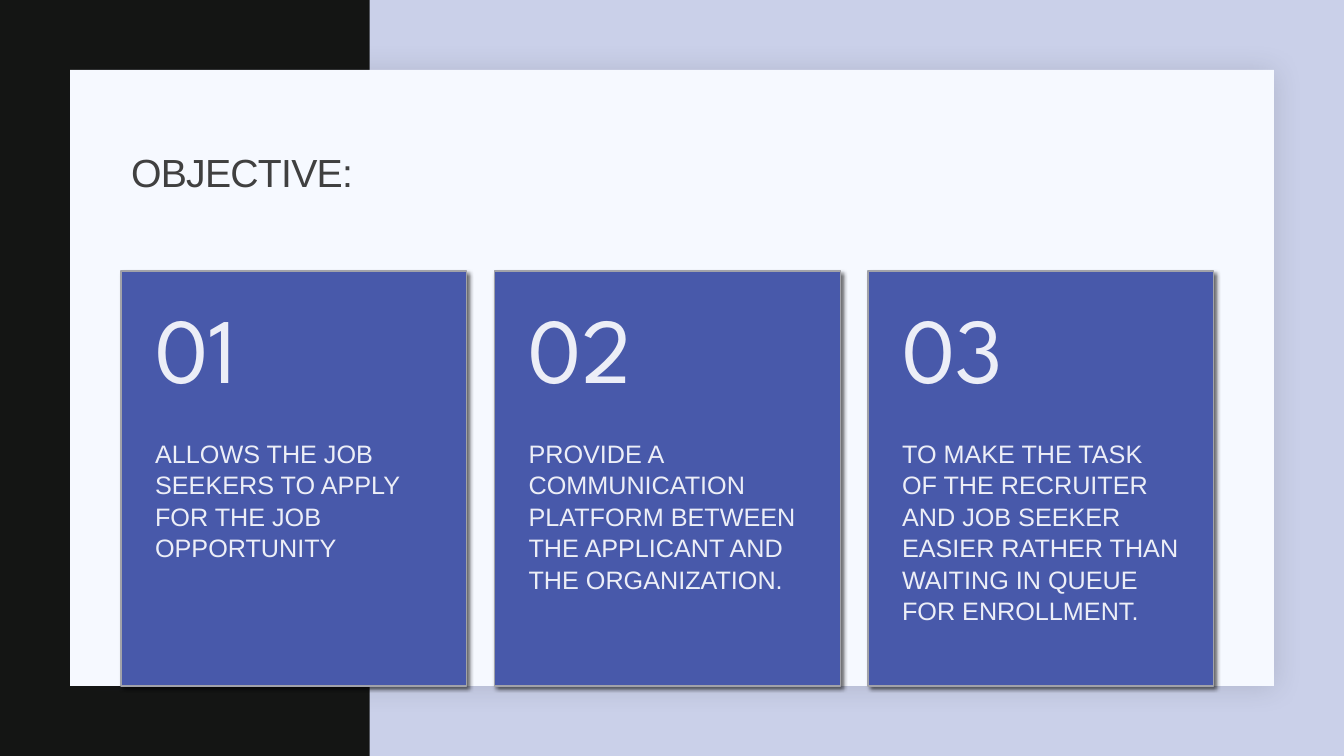
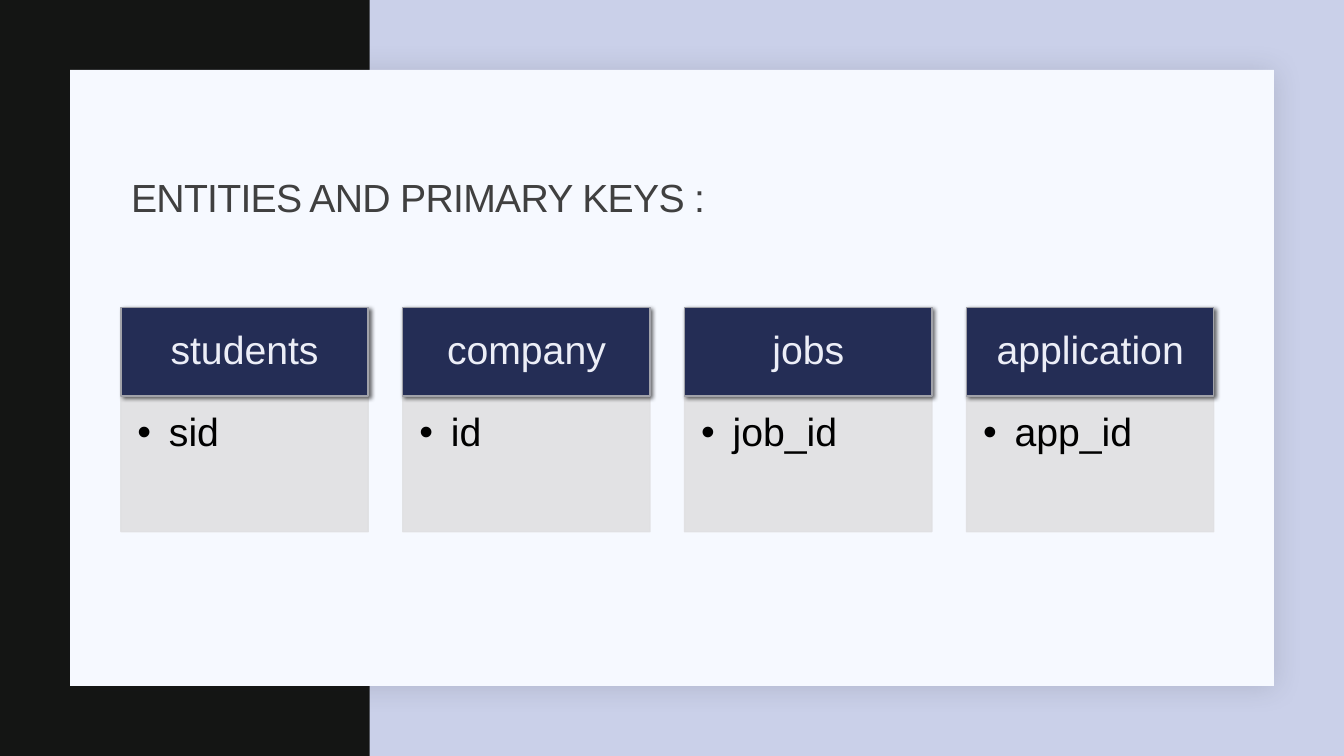
from dataclasses import dataclass

from lxml import etree
from pptx import Presentation
from pptx import util as u
from pptx.dml.color import RGBColor
from pptx.enum import shapes, text
from pptx.oxml.ns import qn


@dataclass(frozen=True)
class Theme:
    # Colours
    backdrop: str = "CAD0E9"
    band: str = "141514"
    panel: str = "F6F9FF"
    title: str = "404040"
    card: str = "4859AA"
    header: str = "242D55"
    edge: str = "A1A2A9"
    key_box: str = "E0E0E2"
    light_text: str = "ECEEF7"
    dark_text: str = "000000"
    # Fonts and type sizes
    font: str = "Arial"
    number_font: str = "League Spartan"
    heading_size: float = 28
    body_size: float = 18
    number_size: float = 66
    # Shadows: colour, opacity %, blur, distance, angle
    panel_shadow: tuple = ("1F2125", 15, 20, 2, 45)
    card_shadow: tuple = ("000000", 60, 3, 2, 45)


@dataclass(frozen=True)
class Box:
    left: float
    top: float
    width: float
    height: float

    def lengths(self):
        return [u.Pt(v) for v in (self.left, self.top, self.width, self.height)]

    def split(self, upper_height):
        """Cut the box into an upper and a lower part."""
        return (Box(self.left, self.top, self.width, upper_height),
                Box(self.left, self.top + upper_height, self.width,
                    self.height - upper_height))

    def columns(self, count, gap_ratio):
        """Equal columns whose gaps are a share of the column width."""
        width = self.width / (count + (count - 1) * gap_ratio)
        step = width * (1 + gap_ratio)
        return [Box(self.left + i * step, self.top, width, self.height)
                for i in range(count)]


THEME = Theme()
SLIDE = Box(0, 0, 960, 540)
BAND = Box(0, 0, 264, 540)
PANEL = Box(50, 50, 860, 440)
CONTENT_LEFT, CONTENT_WIDTH = 86.4, 780.6
TOP, MIDDLE = text.MSO_ANCHOR.TOP, text.MSO_ANCHOR.MIDDLE
LEFT, CENTER = text.PP_ALIGN.LEFT, text.PP_ALIGN.CENTER


def rgb(colour):
    return RGBColor.from_string(colour)


def child(parent, tag, **attributes):
    return etree.SubElement(parent, qn(tag),
                            {k: str(v) for k, v in attributes.items()})


def add_shadow(shape, shadow):
    colour, opacity, blur, distance, angle = shadow
    effects = shape.element.spPr.find(qn("a:effectLst"))
    outer = child(effects, "a:outerShdw", blurRad=u.Pt(blur), dist=u.Pt(distance),
                  dir=angle * 60000, algn="tl", rotWithShape=0)
    tint = child(outer, "a:srgbClr", val=colour)
    child(tint, "a:alpha", val=opacity * 1000)


def add_rect(slide, box, fill, edge=None, shadow=None, opacity=None):
    rect = slide.shapes.add_shape(shapes.MSO_SHAPE.RECTANGLE, *box.lengths())
    rect.shadow.inherit = False
    rect.fill.solid()
    rect.fill.fore_color.rgb = rgb(fill)
    if edge:
        rect.line.color.rgb = rgb(edge)
        rect.line.width = u.Pt(1)
    else:
        rect.line.fill.background()
    if shadow:
        add_shadow(rect, shadow)
    if opacity:
        for tint in rect.element.spPr.iter(qn("a:srgbClr")):
            child(tint, "a:alpha", val=opacity * 1000)
    return rect


def write(frame, words, colour, size, font=THEME.font, anchor=MIDDLE, align=LEFT,
          insets=(7.2, 3.6, 7.2, 3.6), spacing=0.9):
    """Fill a text frame with one formatted run and return its paragraph and run."""
    frame.word_wrap = True
    frame.auto_size = text.MSO_AUTO_SIZE.NONE
    frame.vertical_anchor = anchor
    (frame.margin_left, frame.margin_top,
     frame.margin_right, frame.margin_bottom) = [u.Pt(v) for v in insets]
    paragraph = frame.paragraphs[0]
    paragraph.alignment = align
    paragraph.line_spacing = spacing
    run = paragraph.add_run()
    run.text = words
    run.font.name = font
    run.font.size = u.Pt(size)
    run.font.color.rgb = rgb(colour)
    return paragraph, run


def add_bullet(paragraph, indent):
    properties = paragraph._p.get_or_add_pPr()
    properties.set("marL", str(u.Pt(indent)))
    properties.set("indent", str(-u.Pt(indent)))
    child(properties, "a:buFont", typeface=THEME.font)
    child(properties, "a:buChar", char="•")


def set_backdrop(prs, layout, slide):
    """Give the layout the background, band and panel that all slides share."""
    background = prs.slide_master.background.fill
    background.solid()
    background.fore_color.rgb = rgb(THEME.backdrop)
    parts = [add_rect(slide, BAND, THEME.band),
             add_rect(slide, PANEL, THEME.panel, shadow=THEME.panel_shadow)]
    for i, part in enumerate(parts):
        part.element.nvSpPr.cNvPr.set("id", str(100 + i))
        layout.shapes.element.insert(2 + i, part.element)


def set_title(slide, words, top):
    title = slide.shapes.title
    title.left, title.top, title.width, title.height = Box(
        CONTENT_LEFT, top, 792, 101.5).lengths()
    _, run = write(title.text_frame, words, THEME.title, THEME.heading_size)
    run._r.get_or_add_rPr().set("spc", "-50")


def objective_card(slide, box, number, words):
    add_rect(slide, box, THEME.card, THEME.edge, THEME.card_shadow)
    number_box, words_box = box.split(box.height * 0.4)
    # Objective
    body = slide.shapes.add_textbox(*words_box.lengths())
    write(body.text_frame, words, THEME.light_text, THEME.body_size,
          anchor=TOP, insets=(24.4, 0, 24.4, 26), spacing=1.04)
    # Number
    numeral = slide.shapes.add_textbox(*number_box.lengths())
    write(numeral.text_frame, number, THEME.light_text, THEME.number_size,
          font=THEME.number_font, insets=(24.4, 13, 24.4, 13))


def entity_column(slide, box, entity, key):
    header_box, key_box = box.split(63.5)
    # Primary key
    key_rect = add_rect(slide, key_box, THEME.key_box, THEME.key_box, opacity=90)
    paragraph, _ = write(key_rect.text_frame, key, THEME.dark_text,
                         THEME.heading_size, anchor=TOP,
                         insets=(11.8, 11.8, 15.7, 17.6))
    add_bullet(paragraph, 22.5)
    # Entity name
    header = add_rect(slide, header_box, THEME.header, THEME.edge, THEME.card_shadow)
    write(header.text_frame, entity, THEME.light_text, THEME.heading_size,
          align=CENTER, insets=(15.7, 9, 15.7, 9))


def objective_slide(slide):
    objectives = [
        "ALLOWS THE JOB SEEKERS TO APPLY FOR THE JOB OPPORTUNITY",
        "PROVIDE A COMMUNICATION PLATFORM BETWEEN THE APPLICANT AND THE ORGANIZATION.",
        "TO MAKE THE TASK OF THE RECRUITER AND JOB SEEKER EASIER RATHER THAN "
        "WAITING IN QUEUE FOR ENROLLMENT.",
    ]
    set_title(slide, "OBJECTIVE:", 74)
    area = Box(CONTENT_LEFT, 193.6, CONTENT_WIDTH, 296.4)
    boxes = area.columns(len(objectives), 0.08)
    for i, (box, words) in enumerate(zip(boxes, objectives), 1):
        objective_card(slide, box, f"{i:02}", words)


def entities_slide(slide):
    primary_keys = {"students": "sid", "company": "id",
                    "jobs": "job_id", "application": "app_id"}
    set_title(slide, "ENTITIES AND PRIMARY KEYS :", 92)
    area = Box(CONTENT_LEFT, 219.5, CONTENT_WIDTH, 160.3)
    boxes = area.columns(len(primary_keys), 0.14)
    for box, (entity, key) in zip(boxes, primary_keys.items()):
        entity_column(slide, box, entity, key)


def main():
    prs = Presentation()
    prs.slide_width, prs.slide_height = u.Pt(SLIDE.width), u.Pt(SLIDE.height)
    title_only = prs.slide_layouts[5]
    objective, entities = [prs.slides.add_slide(title_only) for _ in range(2)]
    set_backdrop(prs, title_only, objective)
    objective_slide(objective)
    entities_slide(entities)
    prs.save("out.pptx")


if __name__ == "__main__":
    main()
